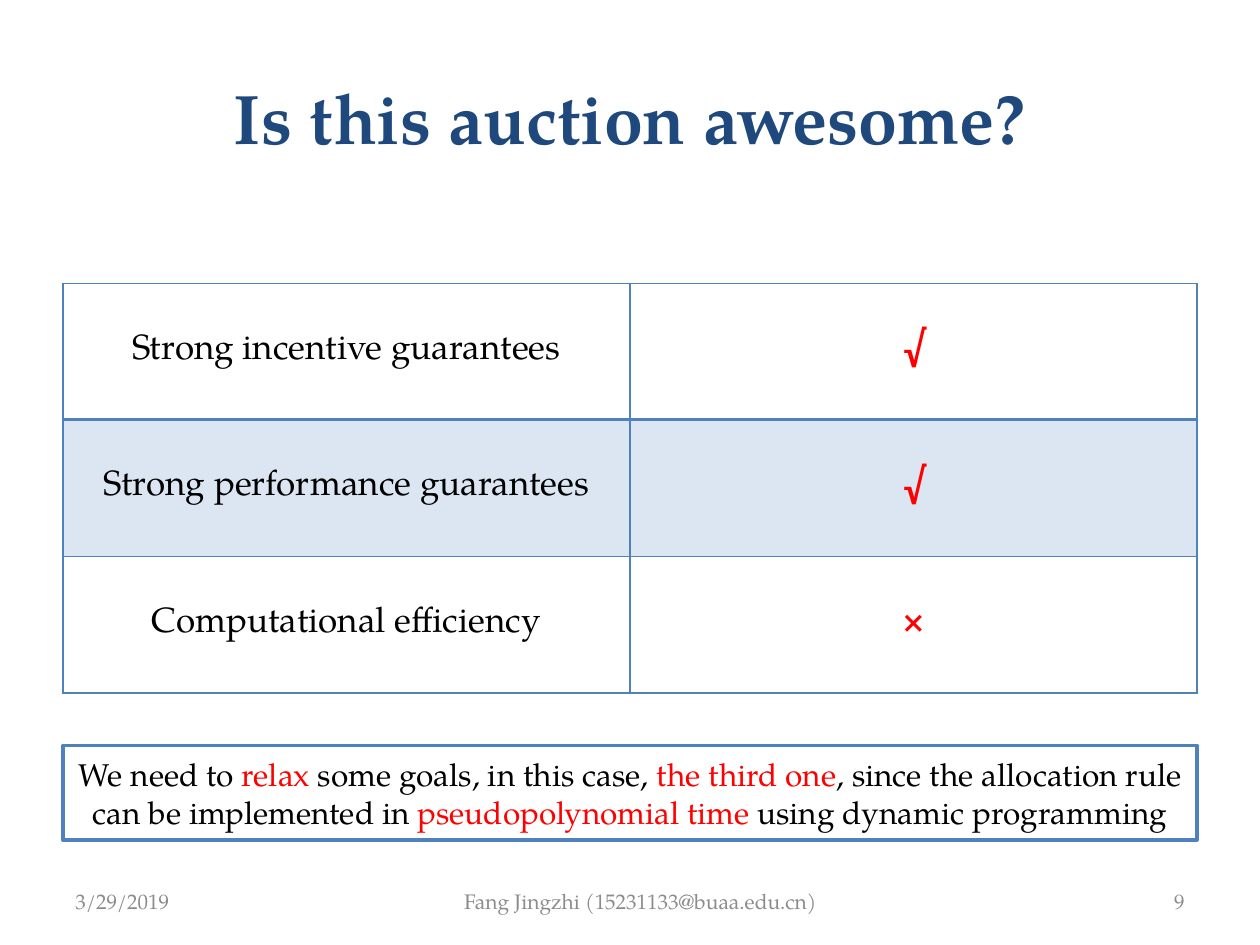
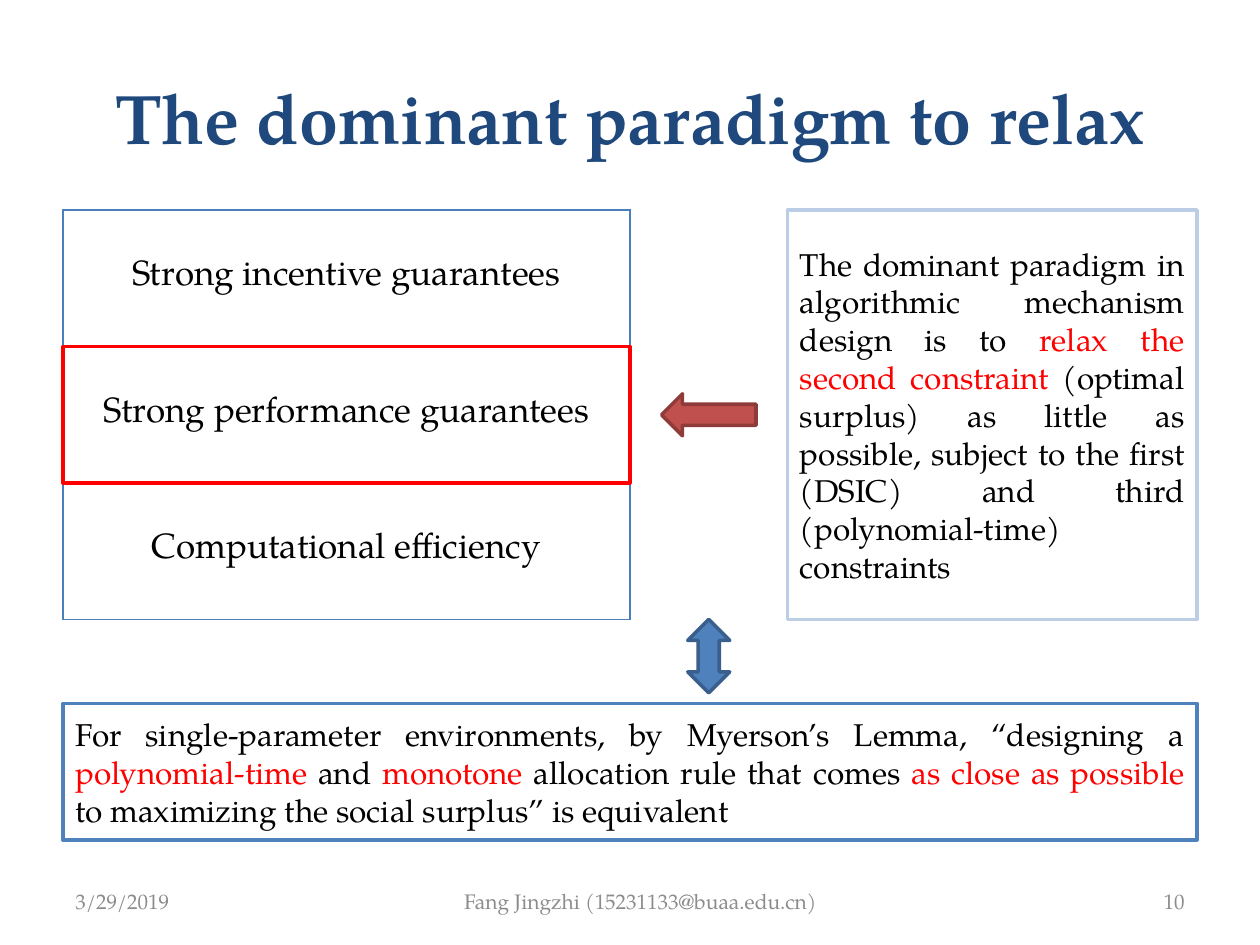
from dataclasses import dataclass

from lxml import etree
from pptx import Presentation
from pptx.dml.color import RGBColor
from pptx.enum.shapes import MSO_SHAPE as Shape
from pptx.enum.text import MSO_ANCHOR as Anchor, PP_ALIGN as Align
from pptx.oxml.ns import qn
from pptx.util import Inches, Pt


@dataclass(frozen=True)
class Theme:
    font: str = "TeX Gyre Pagella"
    title: str = "1F497D"
    ink: str = "000000"
    accent: str = "FF0000"
    footer: str = "8C8C8C"
    paper: str = "FFFFFF"
    blue: str = "4F81BD"
    blue_edge: str = "3A5F8C"
    pale_edge: str = "BBCEE5"
    cell_edge: str = "4B7EBC"
    band: str = "DCE6F2"
    red: str = "C0504D"
    red_edge: str = "8E3B39"
    title_size: int = 40
    table_size: int = 20
    body_size: int = 18
    footer_size: int = 12
    line: int = 2


theme = Theme()
deck = Presentation()
deck.slide_width, deck.slide_height = Inches(10), Inches(7.5)
# The grid has 120 columns and 90 rows of square units.
unit = deck.slide_width // 120
margin, full, half, row_height = 6, 108, 54, 13


def write(frame, text, size, color=theme.ink, align=Align.CENTER, bold=False):
    """Write one paragraph; parts between | marks take the accent colour."""
    frame.word_wrap = True
    frame.vertical_anchor = Anchor.MIDDLE
    para = frame.paragraphs[0]
    para.alignment = align
    para.font.name, para.font.size, para.font.bold = theme.font, Pt(size), bold
    for index, part in enumerate(text.split("|")):
        if part:
            span = para.add_run()
            span.text = part
            span.font.color.rgb = RGBColor.from_string(theme.accent if index % 2 else color)


def add_box(page, kind, area, fill, edge):
    """Add a preset shape on the grid; without a fill it is see-through."""
    box = page.shapes.add_shape(kind, *(unit * length for length in area))
    box.shadow.inherit = False
    if fill:
        box.fill.solid()
        box.fill.fore_color.rgb = RGBColor.from_string(fill)
    else:
        box.fill.background()
    box.line.color.rgb = RGBColor.from_string(edge)
    box.line.width = Pt(theme.line)
    return box


goals = ["Strong incentive guarantees", "Strong performance guarantees", "Computational efficiency"]
marks = ["|√|", "|√|", "|×|"]

# Title, page number, table top, table rows, edge colour, edge width, width below row 1, row 2 fill
outline = [
    ("Is this auction awesome?", 9, 27, list(zip(goals, marks)), theme.blue, 1, 2, theme.band),
    ("The dominant paradigm to relax", 10, 20, [(goal,) for goal in goals], theme.cell_edge, 0.75, 0.75, None),
]
pages = []
for title, number, top, rows, edge, thin, thick, band in outline:
    page = deck.slides.add_slide(deck.slide_layouts[6])
    pages.append(page)

    texts = [
        (title, (margin, 3.6, full, 15), theme.title_size, theme.title, Align.CENTER),
        ("3/29/2019", (margin, 83.4, 28, 4.8), theme.footer_size, theme.footer, Align.LEFT),
        (str(number), (86, 83.4, 28, 4.8), theme.footer_size, theme.footer, Align.RIGHT),
        ("Fang Jingzhi (15231133@buaa.edu.cn)", (41, 83.4, 38, 4.8), theme.footer_size, theme.footer, Align.RIGHT),
    ]
    for text, area, size, color, align in texts:
        box = page.shapes.add_textbox(*(int(unit * length) for length in area))
        write(box.text_frame, text, size, color, align, bold=text == title)

    columns = len(rows[0])
    table = page.shapes.add_table(
        len(rows), columns, unit * margin, unit * top,
        unit * half * columns, unit * row_height * len(rows),
    ).table
    table.first_row = table.horz_banding = False
    for row, texts in enumerate(rows):
        for column, text in enumerate(texts):
            cell = table.cell(row, column)
            write(cell.text_frame, text, theme.table_size, bold="|" in text)
            cell.vertical_anchor = Anchor.MIDDLE
            properties = cell._tc.get_or_add_tcPr()
            for side in ("lnL", "lnR", "lnT", "lnB"):
                heavy = (row, side) in ((0, "lnB"), (1, "lnT"))
                line = etree.SubElement(properties, qn(f"a:{side}"), w=str(Pt(thick if heavy else thin)))
                solid = etree.SubElement(line, qn("a:solidFill"))
                etree.SubElement(solid, qn("a:srgbClr"), val=edge)
            if band and row == 1:
                cell.fill.solid()
                cell.fill.fore_color.rgb = RGBColor.from_string(band)
            else:
                cell.fill.background()

auction, paradigm = pages

summary = add_box(auction, Shape.RECTANGLE, (margin, 71, full, 9), theme.paper, theme.blue)
write(
    summary.text_frame,
    "We need to |relax| some goals, in this case, |the third one|, since the allocation rule "
    "can be implemented in |pseudopolynomial time| using dynamic programming",
    theme.body_size,
)

lemma = add_box(paradigm, Shape.RECTANGLE, (margin, 67, full, row_height), theme.paper, theme.blue)
write(
    lemma.text_frame,
    "For single-parameter environments, by Myerson’s Lemma, “designing a |polynomial-time| and "
    "|monotone| allocation rule that comes |as close as possible |to maximizing the social "
    "surplus” is equivalent",
    theme.body_size, align=Align.JUSTIFY,
)

add_box(paradigm, Shape.LEFT_ARROW, (63, 37.5, 9, 4), theme.red, theme.red_edge)

constraint = add_box(paradigm, Shape.RECTANGLE, (75, 20, 39, 3 * row_height), theme.paper, theme.pale_edge)
write(
    constraint.text_frame,
    "The dominant paradigm in algorithmic mechanism design is to |relax the second constraint |"
    "(optimal surplus) as little as possible, subject to the ﬁrst (DSIC) and third "
    "(polynomial-time) constraints",
    theme.body_size, align=Align.JUSTIFY,
)

add_box(paradigm, Shape.RECTANGLE, (margin, 20 + row_height, half, row_height), None, theme.accent)
add_box(paradigm, Shape.UP_DOWN_ARROW, (65.5, 59, 4, 7), theme.blue, theme.blue_edge)

deck.save("out.pptx")
